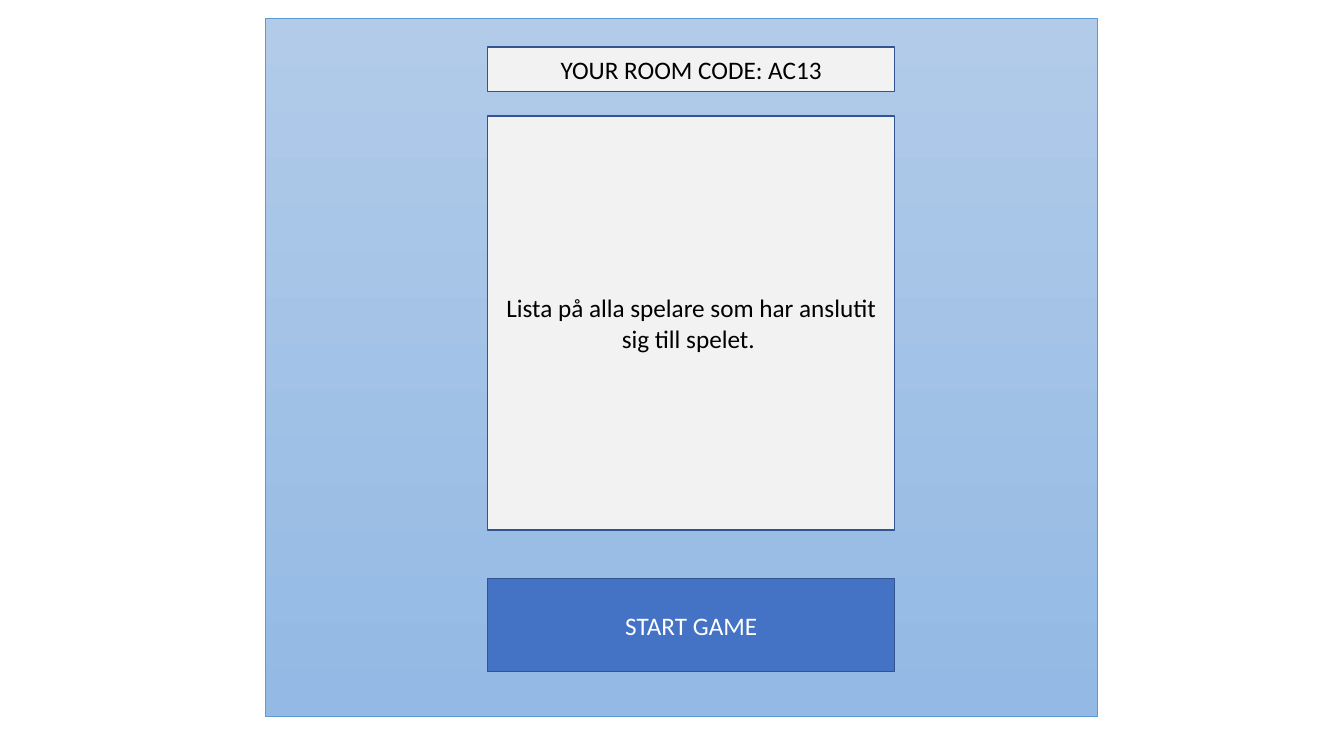
from pptx import Presentation
from pptx import util as u
from pptx.dml.color import RGBColor
from pptx.enum import shapes, text

SKY_TOP = RGBColor(0xB1, 0xCB, 0xE9)
SKY_BOTTOM = RGBColor(0x93, 0xB9, 0xE4)
SKY_EDGE = RGBColor(0x5B, 0x9B, 0xD5)
PANEL = RGBColor(0xF2, 0xF2, 0xF2)
BUTTON = RGBColor(0x44, 0x72, 0xC4)
EDGE = RGBColor(0x32, 0x54, 0x91)
BLACK = RGBColor(0, 0, 0)
WHITE = RGBColor(0xFF, 0xFF, 0xFF)

COLUMN_LEFT, COLUMN_WIDTH = 12.29, 10.26


def add_rect(s, left, top, width, height, edge, weight):
    sp = s.shapes.add_shape(shapes.MSO_SHAPE.RECTANGLE, u.Cm(left), u.Cm(top),
                            u.Cm(width), u.Cm(height))
    sp.shadow.inherit = False
    sp.line.color.rgb = edge
    sp.line.width = u.Pt(weight)
    return sp


def write(sp, content, size=18, color=BLACK, font="Calibri"):
    tf = sp.text_frame
    tf.word_wrap = True
    tf.vertical_anchor = text.MSO_ANCHOR.MIDDLE
    p = tf.paragraphs[0]
    p.alignment = text.PP_ALIGN.CENTER
    r = p.add_run()
    r.text = content
    r.font.name = font
    r.font.size = u.Pt(size)
    r.font.color.rgb = color


def add_backdrop(s):
    sp = add_rect(s, 6.68, 0.46, 20.98, 17.6, SKY_EDGE, 0.5)
    sp.fill.gradient()
    sp.fill.gradient_angle = 270
    for stop, color in zip(sp.fill.gradient_stops, (SKY_TOP, SKY_BOTTOM)):
        stop.color.rgb = color


def add_box(s, top, height, content, fill=PANEL, color=BLACK):
    sp = add_rect(s, COLUMN_LEFT, top, COLUMN_WIDTH, height, EDGE, 1)
    sp.fill.solid()
    sp.fill.fore_color.rgb = fill
    write(sp, content, color=color)


def main():
    prs = Presentation()
    prs.slide_width, prs.slide_height = u.Cm(33.87), u.Cm(19.05)
    s = prs.slides.add_slide(prs.slide_layouts[6])
    add_backdrop(s)
    add_box(s, 2.92, 10.44, "Lista på alla spelare som har anslutit sig till spelet. ")
    add_box(s, 14.58, 2.34, "START GAME", fill=BUTTON, color=WHITE)
    add_box(s, 1.19, 1.12, "YOUR ROOM CODE: AC13")
    prs.save("out.pptx")


if __name__ == "__main__":
    main()
